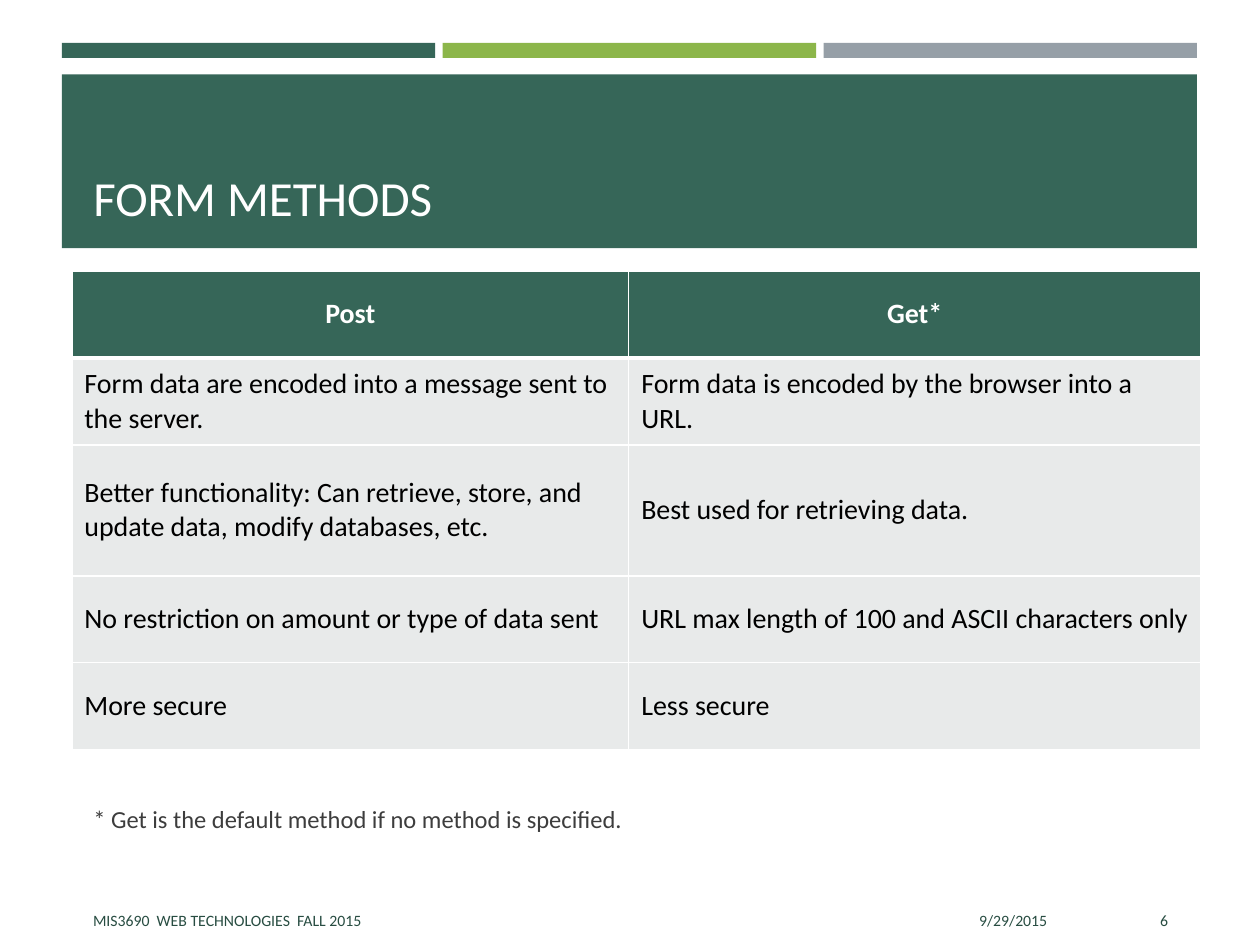
from dataclasses import dataclass
from lxml import etree
from pptx import Presentation
from pptx import util as u
from pptx.dml.color import RGBColor
from pptx.enum import shapes, text
from pptx.oxml.ns import qn


@dataclass(frozen=True)
class Theme:
    font: str = "Calibri"
    green: str = "366658"
    lime: str = "8CB64A"
    gray: str = "969FA7"
    pale: str = "E8EAEA"
    white: str = "FFFFFF"
    black: str = "000000"
    note: str = "3D3D3D"
    foot: str = "284D42"
    head_size: int = 28
    cell_size: int = 16
    note_size: int = 14
    foot_size: int = 9


THEME = Theme()
WIDE, HIGH = u.Inches(10), u.Inches(7.5)
LEFT, SPAN, GAP = 4.9, 90.1, 0.6
ROWS = [
    ("Post", "Get*"),
    ("Form data are encoded into a message sent to the server.",
     "Form data is encoded by the browser into a URL."),
    ("Better functionality: Can retrieve, store, and update data, modify databases, etc.",
     "Best used for retrieving data."),
    ("No restriction on amount or type of data sent",
     "URL max length of 100 and ASCII characters only"),
    ("More secure", "Less secure"),
]


def across(share):
    return round(WIDE * share / 100)


def down(share):
    return round(HIGH * share / 100)


def area(x, y, w, h):
    return across(x), down(y), across(w), down(h)


def paint(fill, color):
    fill.solid()
    fill.fore_color.rgb = RGBColor.from_string(color)


def write(frame, words, size, color, align=text.PP_ALIGN.LEFT, bold=False):
    frame.text = words
    frame.word_wrap = True
    para = frame.paragraphs[0]
    para.alignment = align
    font = para.font
    font.name, font.size, font.bold = THEME.font, u.Pt(size), bold
    font.color.rgb = RGBColor.from_string(color)
    return para


def band(slide, place, color):
    shape = slide.shapes.add_shape(shapes.MSO_SHAPE.RECTANGLE, *place)
    shape.shadow.inherit = False
    paint(shape.fill, color)
    shape.line.fill.background()


def holder(slide, shape, place, anchor, words, size, color):
    shape.left, shape.top, shape.width, shape.height = place
    slide.shapes.element.append(shape.element)
    frame = shape.text_frame
    frame.auto_size = text.MSO_AUTO_SIZE.NONE
    frame.vertical_anchor = anchor
    return write(frame, words, size, color)


def label(slide, place, words, align):
    frame = slide.shapes.add_textbox(*place).text_frame
    frame.vertical_anchor = text.MSO_ANCHOR.MIDDLE
    write(frame, words, THEME.foot_size, THEME.foot, align)


def edge(cell, side, width):
    line = etree.SubElement(cell.get_or_add_tcPr(), qn(f"a:ln{side}"), w=str(u.Pt(width)))
    fill = etree.SubElement(line, qn("a:solidFill"))
    etree.SubElement(fill, qn("a:srgbClr"), val=THEME.white)


def fill_cell(cell, words, row):
    head = row == 0
    for side in "LRTB":
        thick = (head and side == "B") or (row == 1 and side == "T")
        edge(cell._tc, side, 3 if thick else 1)
    paint(cell.fill, THEME.green if head else THEME.pale)
    cell.vertical_anchor = text.MSO_ANCHOR.MIDDLE
    align = text.PP_ALIGN.CENTER if head else text.PP_ALIGN.LEFT
    color = THEME.white if head else THEME.black
    write(cell.text_frame, words, THEME.cell_size, color, align, head)


def grid(slide, x, y, cols, rows):
    place = area(x, y, sum(cols), sum(rows))
    table = slide.shapes.add_table(len(rows), len(cols), *place).table
    for col, share in zip(table.columns, cols):
        col.width = across(share)
    for row, share in zip(table.rows, rows):
        row.height = down(share)
    for i, line in enumerate(ROWS):
        for j, words in enumerate(line):
            fill_cell(table.cell(i, j), words, i)


def main():
    deck = Presentation()
    deck.slide_width, deck.slide_height = WIDE, HIGH
    slide = deck.slides.add_slide(deck.slide_layouts[1])
    title, body = slide.placeholders

    part = (SPAN - 2 * GAP) / 3
    for i, color in enumerate((THEME.green, THEME.lime, THEME.gray)):
        band(slide, area(LEFT + i * (part + GAP), 4.53, part, 1.6), color)
    band(slide, area(LEFT, 7.87, SPAN, 18.4), THEME.green)

    holder(slide, title, area(6.4, 8.93, 87.4, 15.73), text.MSO_ANCHOR.BOTTOM,
           "FORM METHODS", THEME.head_size, THEME.white)
    note = holder(slide, body, area(6.4, 84.4, 87.4, 7.73), text.MSO_ANCHOR.TOP,
                  "* Get is the default method if no method is specified.",
                  THEME.note_size, THEME.note)
    note.space_after = u.Pt(6)
    props = note._p.get_or_add_pPr()
    props.set("marL", "0")
    props.set("indent", "0")
    props.insert_element_before(props.makeelement(qn("a:buNone")), "a:tabLst", "a:defRPr", "a:extLst")

    for x, w, words, align in (
        (60.8, 23.3, "9/29/2015", text.PP_ALIGN.RIGHT),
        (6.4, 53.3, "MIS3690  WEB TECHNOLOGIES  FALL 2015", text.PP_ALIGN.LEFT),
        (85.3, 8.4, "6", text.PP_ALIGN.RIGHT),
    ):
        label(slide, area(x, 94.67, w, 5.33), words, align)

    grid(slide, 5.7, 28.67, (44.2, 45.4), (9.2, 9.2, 13.87, 9.2, 9.2))
    deck.save("out.pptx")


if __name__ == "__main__":
    main()
